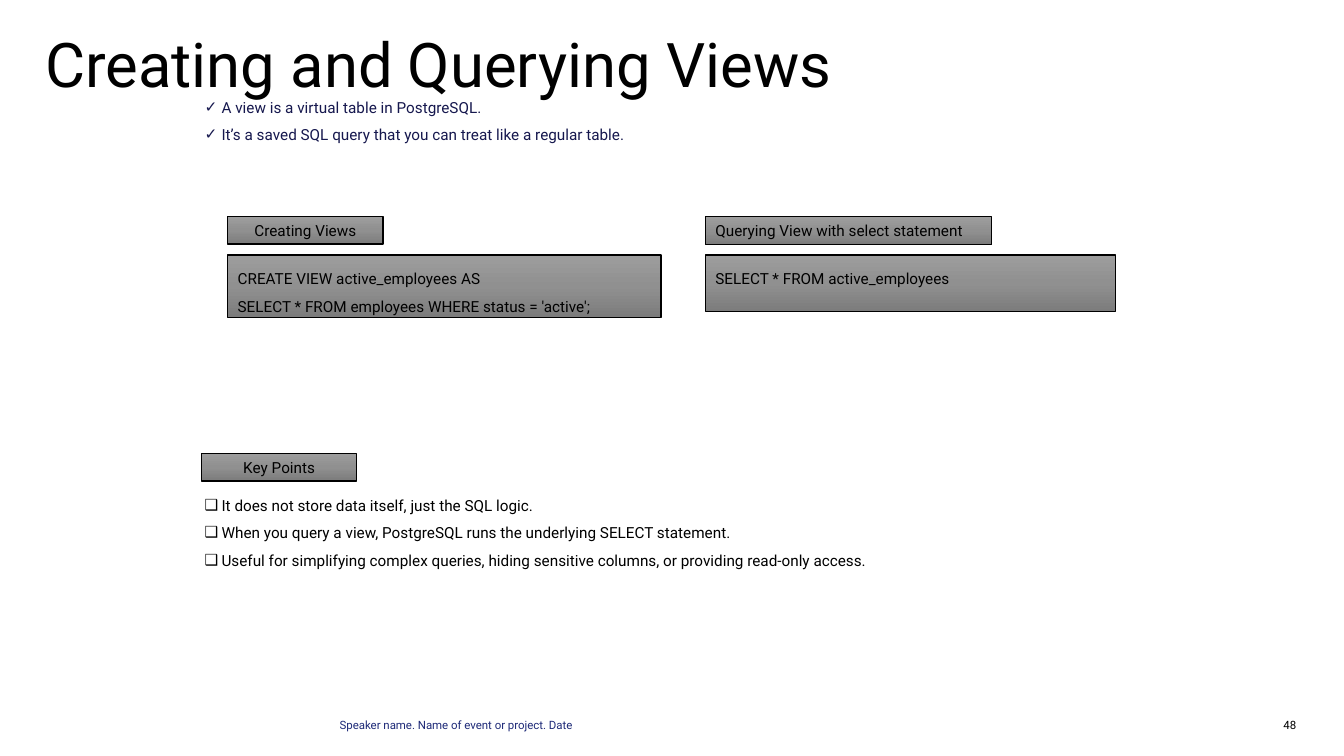
"""Build the slide on creating and querying database views."""
from copy import deepcopy

from lxml.etree import SubElement
from pptx import Presentation
from pptx.dml.color import RGBColor
from pptx.enum.shapes import MSO_SHAPE
from pptx.enum.text import MSO_ANCHOR, MSO_AUTO_SIZE, PP_ALIGN
from pptx.oxml.ns import qn
from pptx.util import Cm, Pt

BLACK = RGBColor(0x00, 0x00, 0x00)
NAVY = RGBColor(0x16, 0x18, 0x4E)
FOOTER_BLUE = RGBColor(0x1E, 0x2A, 0x78)
GREYS = (RGBColor(0x9D, 0x9D, 0x9D), RGBColor(0x90, 0x90, 0x90), RGBColor(0x7C, 0x7C, 0x7C))


class ViewSlide:
    """Hold the style and the current slide."""

    font = "Roboto"
    body_size = 10.9
    small_size = 8.2
    title_size = 44
    list_indent = Cm(0.43)

    def __init__(self, prs):
        """Add a slide with a title and two bodies."""
        self.s = prs.slides.add_slide(prs.slide_layouts[3])

    def place(self, sp, left, top, width, height):
        """Move a placeholder to a box given in centimetres."""
        sp.left, sp.top, sp.width, sp.height = Cm(left), Cm(top), Cm(width), Cm(height)

    def fill_text(self, tf, lines, size, color, spacing=1.0, align=PP_ALIGN.LEFT, bullet=None):
        """Fill a text frame with one paragraph per line."""
        tf.auto_size = MSO_AUTO_SIZE.NONE
        for i, line in enumerate(lines):
            p = tf.add_paragraph() if i else tf.paragraphs[0]
            if bullet:
                pPr = p._p.get_or_add_pPr()
                pPr.set("marL", str(self.list_indent))
                pPr.set("indent", str(-self.list_indent))
                SubElement(pPr, qn("a:buChar"), char=bullet)
            p.alignment = align
            p.line_spacing = spacing
            p.space_before = p.space_after = Pt(0)
            r = p.add_run()
            r.text = line
            r.font.name = self.font
            r.font.size = Pt(size)
            r.font.color.rgb = color

    def no_margins(self, tf):
        """Remove the insets of a text frame."""
        tf.margin_left = tf.margin_right = tf.margin_top = tf.margin_bottom = 0

    def title(self, text, box):
        """Set the slide title."""
        sp = self.s.shapes.title
        self.place(sp, *box)
        tf = sp.text_frame
        self.no_margins(tf)
        tf.vertical_anchor = MSO_ANCHOR.TOP
        self.fill_text(tf, [text], self.title_size, BLACK, 0.9)

    def bullets(self, idx, lines, box, bullet, color):
        """Set a bulleted list in a body placeholder."""
        sp = self.s.placeholders[idx]
        self.place(sp, *box)
        self.fill_text(sp.text_frame, lines, self.body_size, color, 1.5, bullet=bullet)

    def panel(self, lines, box, spacing=1.0, align=PP_ALIGN.LEFT, anchor=MSO_ANCHOR.TOP):
        """Draw a grey gradient rectangle with text."""
        sp = self.s.shapes.add_shape(MSO_SHAPE.RECTANGLE, *map(Cm, box))
        sp.shadow.inherit = False
        sp.fill.gradient()
        sp.fill.gradient_angle = 270
        first = sp._element.spPr.find(".//" + qn("a:gs"))
        first.addnext(deepcopy(first))
        for i, (stop, grey) in enumerate(zip(sp.fill.gradient_stops, GREYS)):
            stop.position = i / 2
            stop.color.rgb = grey
        sp.line.color.rgb = BLACK
        sp.line.width = Pt(1)
        tf = sp.text_frame
        tf.word_wrap = True
        tf.vertical_anchor = anchor
        self.fill_text(tf, lines, self.body_size, BLACK, spacing, align)

    def heading(self, text, left, top):
        """Draw a short centred heading panel."""
        self.panel([text], (left, top, 3.91, 0.69), align=PP_ALIGN.CENTER, anchor=MSO_ANCHOR.MIDDLE)

    def small_text(self, text, box, color, align=PP_ALIGN.LEFT):
        """Set a line at the foot of the slide."""
        tf = self.s.shapes.add_textbox(*map(Cm, box)).text_frame
        tf.word_wrap = True
        self.no_margins(tf)
        self.fill_text(tf, [text], self.small_size, color, Pt(self.small_size), align)


def main():
    """Build and save the slide."""
    prs = Presentation()
    prs.slide_width, prs.slide_height = Cm(33.87), Cm(19.05)
    view = ViewSlide(prs)
    left, right, label_top, code_top = 5.74, 17.78, 5.46, 6.43

    view.title("Creating and Querying Views", (1.14, 0.86, 29.11, 1.42))
    view.bullets(1, [
        "A view is a virtual table in PostgreSQL.",
        "It’s a saved SQL query that you can treat like a regular table.",
    ], (4.9, 2.11, 12.07, 1.57), "✓", NAVY)

    view.heading("Creating Views", left, label_top)
    view.panel([
        "CREATE VIEW active_employees AS",
        "SELECT * FROM employees WHERE status = 'active';",
    ], (left, code_top, 10.92, 1.57), 1.5)
    view.panel(["Querying View with select statement"], (right, label_top, 7.21, 0.71))
    view.panel(["SELECT * FROM active_employees"], (right, code_top, 10.34, 1.42), 1.5)

    view.heading("Key Points", 5.08, 11.43)
    view.bullets(2, [
        "It does not store data itself, just the SQL logic.",
        "When you query a view, PostgreSQL runs the underlying SELECT statement.",
        "Useful for simplifying complex queries, hiding sensitive columns, or providing read-only access.",
    ], (4.9, 12.14, 19, 2.29), "❑", BLACK)

    view.small_text("Speaker name. Name of event or project. Date", (8.56, 18.14, 16.59, 0.46), FOOTER_BLUE)
    view.small_text("48", (31.45, 18.14, 1.22, 0.46), BLACK, PP_ALIGN.RIGHT)
    prs.save("out.pptx")


if __name__ == "__main__":
    main()
